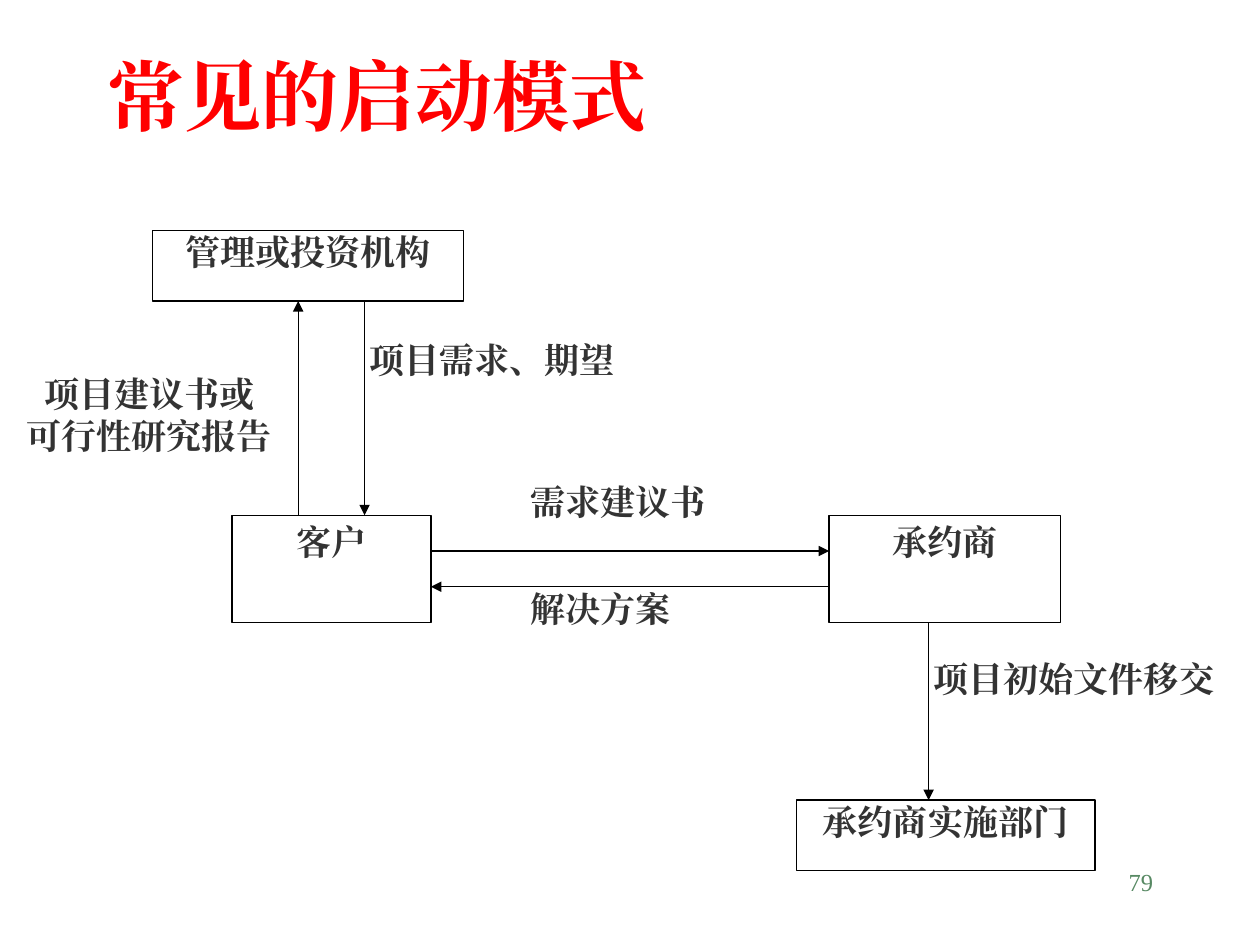
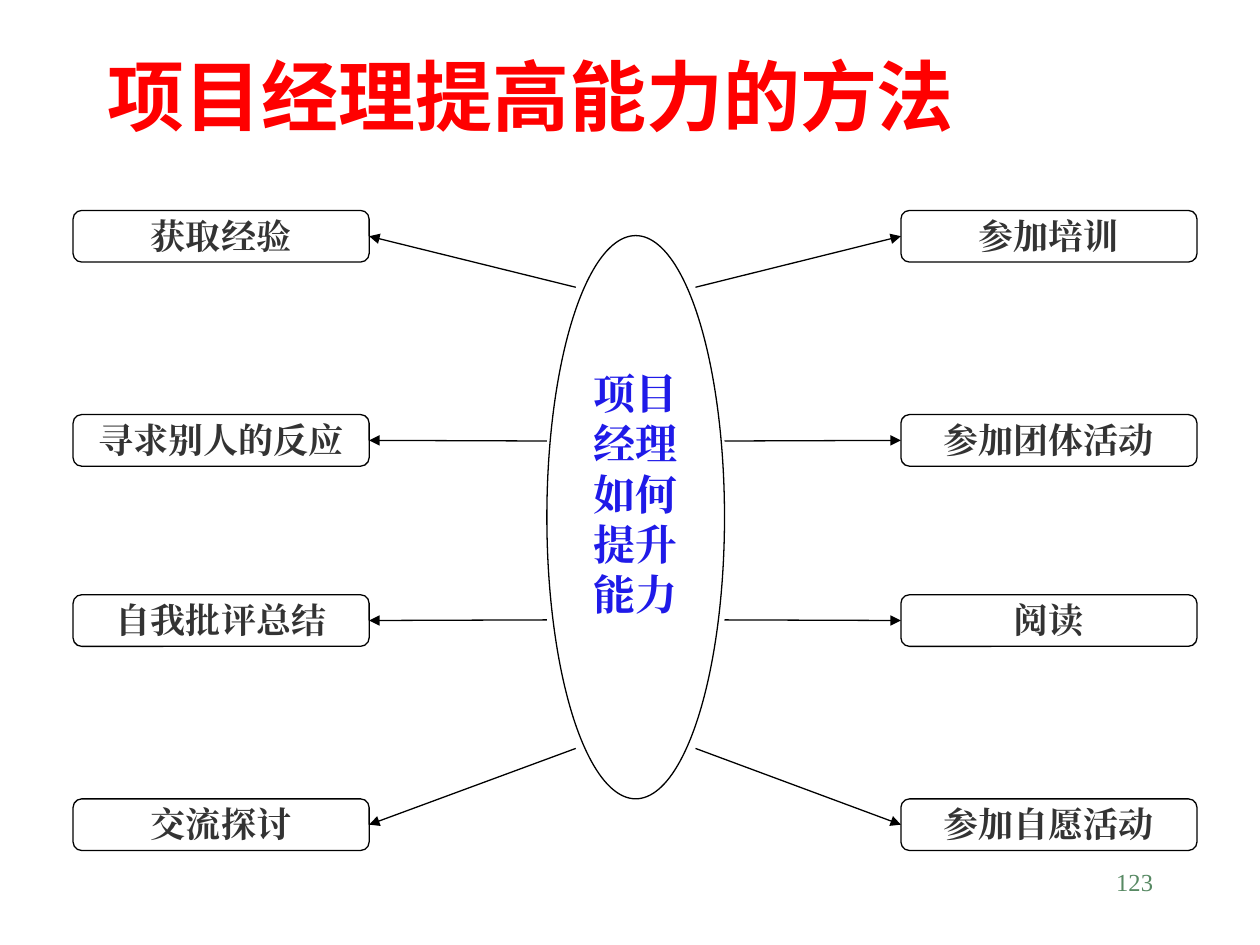
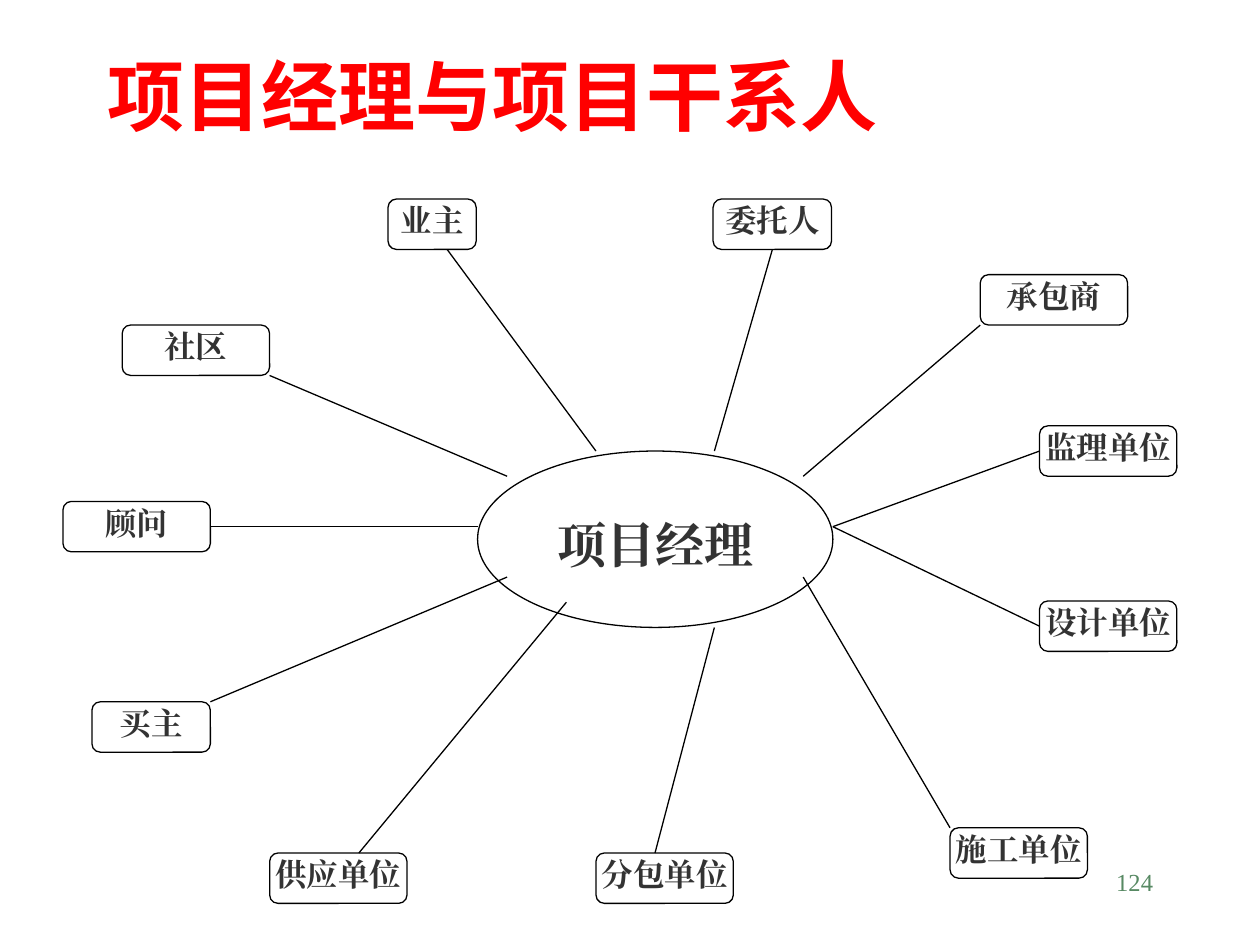
from dataclasses import dataclass

from lxml import etree
from pptx import Presentation
from pptx.dml.color import RGBColor
from pptx.enum.shapes import MSO_CONNECTOR, MSO_SHAPE
from pptx.enum.text import MSO_ANCHOR, MSO_AUTO_SIZE, PP_ALIGN
from pptx.oxml.ns import qn
from pptx.util import Inches, Pt

STRAIGHT = MSO_CONNECTOR.STRAIGHT
RECTANGLE = MSO_SHAPE.RECTANGLE
ROUNDED = MSO_SHAPE.FLOWCHART_ALTERNATE_PROCESS
OVAL = MSO_SHAPE.OVAL
TOP, MIDDLE = MSO_ANCHOR.TOP, MSO_ANCHOR.MIDDLE
LEFT, CENTER, RIGHT = PP_ALIGN.LEFT, PP_ALIGN.CENTER, PP_ALIGN.RIGHT
NO_FIT = MSO_AUTO_SIZE.NONE
TITLE_ONLY = 5

COLORS = {
    "title": "FF0000",
    "text": "333333",
    "hub": "1F1AE8",
    "number": "578963",
    "line": "000000",
    "fill": "FFFFFF",
}
SERIF = "Times New Roman"
SANS = "Noto Sans CJK SC"


@dataclass
class Box:
    left: float
    top: float
    width: float
    height: float

    @property
    def right(self):
        return self.left + self.width

    @property
    def bottom(self):
        return self.top + self.height

    def at(self, across, down):
        return self.left + self.width * across, self.top + self.height * down

    def inner(self, left, top, width, height):
        return Box(self.left + left, self.top + top, width, height)

    def inches(self):
        return [Inches(v) for v in (self.left, self.top, self.width, self.height)]


TITLE_BOX = Box(0.75, 0.42, 8.5, 0.67)
NUMBER_BOX = Box(7.17, 6.83, 2.08, 0.5)


def color(name):
    return RGBColor.from_string(COLORS[name])


def write(shape, text, size, name="text", align=CENTER, anchor=TOP,
          insets=(0, 0, 0, 0), bold=True, font=SERIF):
    frame = shape.text_frame
    frame.text = text
    frame.word_wrap = True
    frame.auto_size = NO_FIT
    frame.vertical_anchor = anchor
    (frame.margin_left, frame.margin_top,
     frame.margin_right, frame.margin_bottom) = [Inches(v) for v in insets]
    for para in frame.paragraphs:
        para.alignment = align
        for span in para.runs:
            span.font.name = font
            span.font.size = Pt(size)
            span.font.bold = bold
            span.font.color.rgb = color(name)
            east_asian = etree.SubElement(span._r.get_or_add_rPr(), qn("a:ea"))
            east_asian.set("typeface", font)


def add_label(page, box, text, size=20, **style):
    write(page.shapes.add_textbox(*box.inches()), text, size, **style)


def add_node(page, kind, box, text, size, **style):
    shape = page.shapes.add_shape(kind, *box.inches())
    shape.shadow.inherit = False
    shape.fill.solid()
    shape.fill.fore_color.rgb = color("fill")
    shape.line.color.rgb = color("line")
    shape.line.width = Pt(0.75)
    write(shape, text, size, **style)


def add_link(page, start, end, arrow=False):
    link = page.shapes.add_connector(STRAIGHT, *[Inches(v) for v in (*start, *end)])
    link.line.color.rgb = color("line")
    link.line.width = Pt(0.75)
    if arrow:
        etree.SubElement(link.line._get_or_add_ln(), qn("a:tailEnd"), type="triangle")
    etree.SubElement(link._element.spPr, qn("a:effectLst"))


def add_page(deck, title, number, font=SANS):
    page = deck.slides.add_slide(deck.slide_layouts[TITLE_ONLY])
    heading = page.shapes.title
    heading.left, heading.top, heading.width, heading.height = TITLE_BOX.inches()
    padding = (0.1, 0.05, 0.1, 0.05)
    write(heading, title, 44, "title", LEFT, MIDDLE, padding, font=font)
    add_label(page, NUMBER_BOX, number, 14, name="number", align=RIGHT,
              insets=padding, bold=False)
    return page


def draw_start_flow(page, area):
    agency = area.inner(1.21, 0, 2.47, 0.56)
    client = area.inner(1.84, 2.26, 1.58, 0.85)
    contractor = area.inner(6.58, 2.26, 1.84, 0.85)
    department = area.inner(6.32, 4.52, 2.37, 0.56)
    for box, text, pad in (
        (agency, "管理或投资机构", 0),
        (client, "客户", 0.04),
        (contractor, "承约商", 0.04),
        (department, "承约商实施部门", 0),
    ):
        add_node(page, RECTANGLE, box, text, 20, insets=(0.02, pad, 0.02, pad))

    proposal_x, demand_x = client.at(1 / 3, 0)[0], client.at(2 / 3, 0)[0]
    request_y, answer_y = client.at(0, 1 / 3)[1], client.at(0, 2 / 3)[1]
    handover_x = area.left + 7.37
    for start, end in (
        ((proposal_x, client.top), (proposal_x, agency.bottom)),
        ((demand_x, agency.bottom), (demand_x, client.top)),
        ((client.right, request_y), (contractor.left, request_y)),
        ((contractor.left, answer_y), (client.right, answer_y)),
        ((handover_x, contractor.bottom), (handover_x, department.top)),
    ):
        add_link(page, start, end, arrow=True)

    add_label(page, area.inner(0, 1.13, 2.37, 1.13), "项目建议书或\n可行性研究报告")
    for left, top, width, text, pad in (
        (2.89, 0.86, 2.37, "项目需求、期望", 0.04),
        (4.21, 1.98, 1.84, "需求建议书", 0),
        (4.21, 2.83, 1.58, "解决方案", 0),
        (7.37, 3.39, 2.63, "项目初始文件移交", 0.04),
    ):
        add_label(page, area.inner(left, top, width, 0.56), text,
                  align=LEFT, insets=(pad, 0, 0, 0))


def draw_methods(page, area):
    width, height, bend = 2.35, 0.41, 0.23
    hub = area.inner(3.76, 0.2, 1.41, 4.47)
    add_node(page, OVAL, hub, "项目经理如何提升能力", 24, name="hub",
             insets=(0.02, 0.39, 0.02, 0))
    rows = (
        (0, 0.61, bend, "获取经验", "参加培训"),
        (1.62, 1.83, 0, "寻求别人的反应", "参加团体活动"),
        (3.05, 3.25, 0, "自我批评总结", "阅读"),
        (4.67, 4.27, bend, "交流探讨", "参加自愿活动"),
    )
    for top, start_y, shift, left_text, right_text in rows:
        left_box = area.inner(0, top, width, height)
        right_box = area.inner(area.width - width, top, width, height)
        for box, text in ((left_box, left_text), (right_box, right_text)):
            add_node(page, ROUNDED, box, text, 20, insets=(0.02, 0.01, 0.02, 0.01))
        y = area.top + start_y
        add_link(page, (hub.left + shift, y), left_box.at(1, 0.5), arrow=True)
        add_link(page, (hub.right - shift, y), right_box.at(0, 0.5), arrow=True)


def draw_stakeholders(page, area):
    hub = area.inner(3.29, 2, 2.82, 1.4)
    add_node(page, OVAL, hub, "项目经理", 28, insets=(0, 0.3, 0, 0))
    columns, rows = 12, 7
    stakeholders = (
        ("业主", 2.58, 0, 0.7, (4, 0), (0.67, 1)),
        ("委托人", 5.16, 0, 0.94, (8, 0), (0.5, 1)),
        ("承包商", 7.28, 0.6, 1.17, (11, 1), (0, 1)),
        ("监理单位", 7.75, 1.8, 1.09, (12, 3), (0, 0.5)),
        ("设计单位", 7.75, 3.19, 1.09, (12, 3), (0, 0.5)),
        ("施工单位", 7.04, 4.99, 1.09, (11, 5), (0, 0)),
        ("分包单位", 4.23, 5.19, 1.09, (8, 7), (0.43, 0)),
        ("供应单位", 1.64, 5.19, 1.09, (3, 6), (0.65, 0)),
        ("买主", 0.23, 3.99, 0.94, (1, 5), (1, 0)),
        ("顾问", 0, 2.4, 1.17, (0, 3), (1, 0.5)),
        ("社区", 0.47, 1, 1.17, (1, 1), (1, 1)),
    )
    for text, left, top, width, (column, row), anchor in stakeholders:
        box = area.inner(left, top, width, 0.4)
        add_node(page, ROUNDED, box, text, 18)
        add_link(page, hub.at(column / columns, row / rows), box.at(*anchor))


def main():
    deck = Presentation()
    deck.slide_width, deck.slide_height = Inches(10), Inches(7.5)
    draw_start_flow(add_page(deck, "常见的启动模式", "79", SERIF),
                    Box(0, 1.83, 10, 5.08))
    draw_methods(add_page(deck, "项目经理提高能力的方法", "123"),
                 Box(0.58, 1.67, 8.92, 5.08))
    draw_stakeholders(add_page(deck, "项目经理与项目干系人", "124"),
                      Box(0.5, 1.58, 8.84, 5.59))
    deck.save("out.pptx")


if __name__ == "__main__":
    main()
